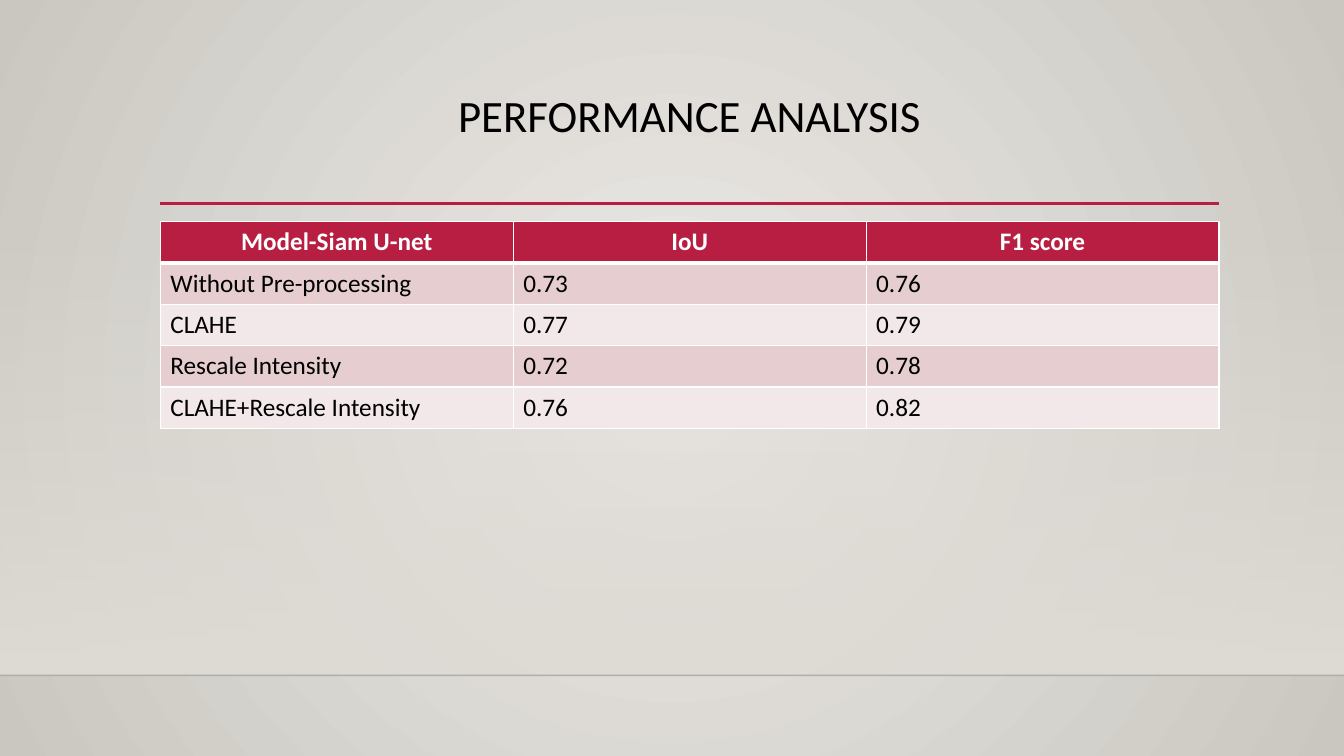
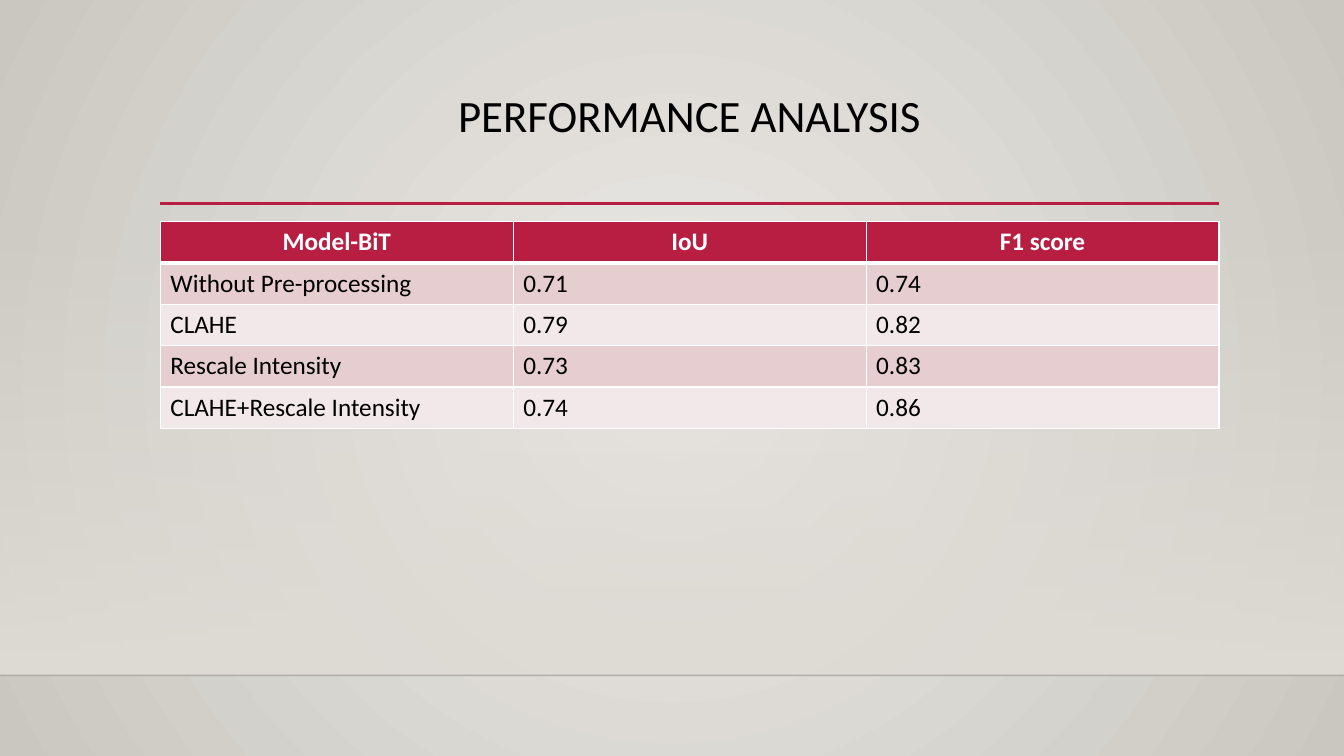
from lxml.etree import SubElement
from pptx import Presentation
from pptx.dml.color import RGBColor
from pptx.enum.shapes import MSO_CONNECTOR, MSO_SHAPE
from pptx.enum.text import MSO_ANCHOR, PP_ALIGN
from pptx.oxml import parse_xml
from pptx.oxml.ns import nsdecls, qn
from pptx.util import Inches, Pt

TITLE = "PERFORMANCE ANALYSIS"
METRICS = ("IoU", "F1 score")
TREATMENTS = ("Without Pre-processing", "CLAHE", "Rescale Intensity",
              "CLAHE+Rescale Intensity")
RESULTS = {
    "Model-Siam U-net": (("0.73", "0.76"), ("0.77", "0.79"),
                         ("0.72", "0.78"), ("0.76", "0.82")),
    "Model-BiT": (("0.71", "0.74"), ("0.79", "0.82"),
                  ("0.73", "0.83"), ("0.74", "0.86")),
}

FONT = "Calibri"
CRIMSON = RGBColor(0xB7, 0x1E, 0x42)
ROW_TINTS = (RGBColor(0xE6, 0xCD, 0xCF), RGBColor(0xF3, 0xE8, 0xE9))
WHITE = RGBColor(0xFF, 0xFF, 0xFF)
BLACK = RGBColor(0, 0, 0)
FLOOR_EDGE = RGBColor(0, 0, 1)
GLOW = RGBColor(0xEC, 0xEA, 0xE7)
STONE = RGBColor(0xCA, 0xC7, 0xC1)
HAZE = RGBColor(0xDF, 0xDB, 0xD5)

WIDTH, HEIGHT = Inches(13.33), Inches(7.5)
LEFT, CONTENT_WIDTH = Inches(1.59), Inches(10.5)
TITLE_TOP, TITLE_HEIGHT = Inches(0.88), Inches(1.15)
RULE_Y = Inches(2.02)
TABLE_TOP, ROW_HEIGHT = Inches(2.2), Inches(0.41)
HAZE_TOP, FLOOR_Y = Inches(2.21), Inches(6.7)

CIRCLE = ('<a:path path="circle"><a:fillToRect l="50000" t="50000" '
          'r="50000" b="50000"/></a:path>')
DOWNWARD = '<a:lin ang="5400000" scaled="0"/>'


def gradient(start, end, direction, start_alpha=100):
    return parse_xml(
        f'<a:gradFill {nsdecls("a")} rotWithShape="1"><a:gsLst>'
        f'<a:gs pos="0"><a:srgbClr val="{start}">'
        f'<a:alpha val="{start_alpha * 1000}"/></a:srgbClr></a:gs>'
        f'<a:gs pos="100000"><a:srgbClr val="{end}"/></a:gs>'
        f'</a:gsLst>{direction}</a:gradFill>')


def write(frame, text, size=18, color=BLACK, bold=False, align=PP_ALIGN.LEFT,
          spacing=None):
    paragraph = frame.paragraphs[0]
    paragraph.alignment = align
    paragraph.line_spacing = spacing
    run = paragraph.add_run()
    run.text = text
    run.font.name, run.font.size, run.font.bold = FONT, Pt(size), bold
    run.font.color.rgb = color


def add_rule(slide, left, right, y, color, weight, alpha=100):
    rule = slide.shapes.add_connector(MSO_CONNECTOR.STRAIGHT, left, y, right, y)
    rule.line.color.rgb = color
    rule.line.width = Pt(weight)
    properties = rule.element.spPr
    if alpha < 100:
        tone = properties.find(".//" + qn("a:srgbClr"))
        SubElement(tone, qn("a:alpha")).set("val", str(alpha * 1000))
    SubElement(properties, qn("a:effectLst"))


def set_background(layout):
    layout.background.fill.solid()
    properties = layout.element.find(".//" + qn("p:bgPr"))
    properties.replace(properties[0], gradient(GLOW, STONE, CIRCLE))


def add_frame(slide):
    haze = slide.shapes.add_shape(MSO_SHAPE.RECTANGLE, 0, HAZE_TOP, WIDTH,
                                  FLOOR_Y - HAZE_TOP)
    haze.shadow.inherit = False
    haze.line.fill.background()
    haze.fill.solid()
    properties = haze.element.spPr
    properties.replace(properties.find(qn("a:solidFill")),
                       gradient(HAZE, HAZE, DOWNWARD, start_alpha=0))
    add_rule(slide, 0, WIDTH, FLOOR_Y, FLOOR_EDGE, 1, alpha=20)
    add_rule(slide, LEFT, LEFT + CONTENT_WIDTH, RULE_Y, CRIMSON, 2.5)


def add_title(slide):
    title = slide.shapes.title
    title.left, title.top = LEFT, TITLE_TOP
    title.width, title.height = CONTENT_WIDTH, TITLE_HEIGHT
    title.text_frame.vertical_anchor = MSO_ANCHOR.TOP
    title.text_frame.word_wrap = True
    write(title.text_frame, TITLE, size=32, align=PP_ALIGN.CENTER, spacing=0.9)


def set_borders(cell, top=1, bottom=1):
    weights = {"L": 1, "R": 1, "T": top, "B": bottom}
    properties = cell._tc.get_or_add_tcPr()
    for index, (side, weight) in enumerate(weights.items()):
        properties.insert(index, parse_xml(
            f'<a:ln{side} {nsdecls("a")} w="{Pt(weight)}"><a:solidFill>'
            f'<a:srgbClr val="{WHITE}"/></a:solidFill></a:ln{side}>'))


def add_results(slide, model, scores):
    rows = [(model, *METRICS)]
    rows += [(name, *values) for name, values in zip(TREATMENTS, scores)]
    table = slide.shapes.add_table(len(rows), len(rows[0]), LEFT, TABLE_TOP,
                                   CONTENT_WIDTH, ROW_HEIGHT * len(rows)).table
    for r, row in enumerate(rows):
        for c, text in enumerate(row):
            cell = table.cell(r, c)
            cell.fill.solid()
            if r == 0:
                cell.fill.fore_color.rgb = CRIMSON
                write(cell.text_frame, text, color=WHITE, bold=True,
                      align=PP_ALIGN.CENTER)
            else:
                cell.fill.fore_color.rgb = ROW_TINTS[(r - 1) % 2]
                write(cell.text_frame, text)
            set_borders(cell, top=3 if r == 1 else 1, bottom=3 if r == 0 else 1)


def main():
    deck = Presentation()
    deck.slide_width, deck.slide_height = WIDTH, HEIGHT
    layout = deck.slide_layouts[5]
    set_background(layout)
    for model, scores in RESULTS.items():
        slide = deck.slides.add_slide(layout)
        add_frame(slide)
        add_title(slide)
        add_results(slide, model, scores)
    deck.save("out.pptx")


if __name__ == "__main__":
    main()
